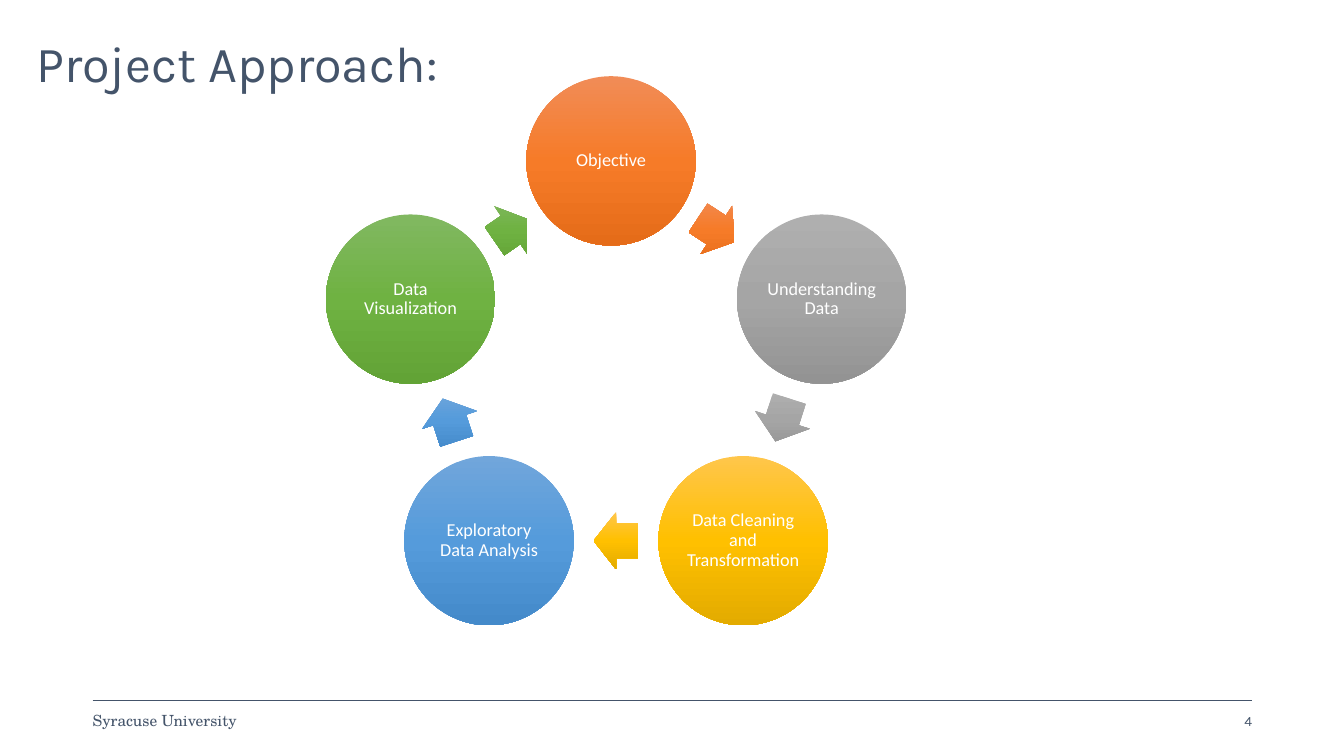
import math
from dataclasses import dataclass

from pptx import Presentation, util as u
from pptx.dml.color import RGBColor
from pptx.enum import shapes, text
from pptx.oxml import parse_xml
from pptx.oxml.ns import nsdecls

WIDE, HIGH = 13.33, 7.5


@dataclass(frozen=True)
class Theme:
    ink: str = "44546A"
    pale: str = "FFFFFF"
    head: str = "Karla"
    body: str = "Calibri"
    foot: str = "TeX Gyre Schola"
    title: int = 36
    label: int = 13
    note: int = 11
    page: int = 10
    orange: tuple = ("F18C57", "F67B28", "E56C19")
    gray: tuple = ("AFAFAF", "A5A5A5", "939393")
    gold: tuple = ("FFC64B", "FFC000", "E3AB00")
    blue: tuple = ("71A6DB", "559BDB", "448ACA")
    green: tuple = ("81B861", "6FB242", "62A336")


T = Theme()
LEFT, RIGHT, BASE = 0.92, 12.42, 6.95   # footer rule
HUB = (6.11, 3.63)                      # centre of the cycle
RADIUS, DISC = 2.144, 1.68
NUDGE = (-0.05, 0.11)                   # first step sits off the ring
STEPS = [
    ("Objective", T.orange),
    ("Understanding Data", T.gray),
    ("Data Cleaning and Transformation", T.gold),
    ("Exploratory Data Analysis", T.blue),
    ("Data Visualization", T.green),
]


def write(shape, words, size, font, color=T.ink, align="LEFT", pad=(0, 0.05), gap=1.0):
    frame = shape.text_frame
    frame.word_wrap = True
    frame.auto_size = text.MSO_AUTO_SIZE.NONE
    frame.vertical_anchor = text.MSO_ANCHOR.MIDDLE
    frame.margin_left = frame.margin_right = u.Inches(pad[0])
    frame.margin_top = frame.margin_bottom = u.Inches(pad[1])
    para = frame.paragraphs[0]
    para.alignment = getattr(text.PP_ALIGN, align)
    para.line_spacing = gap
    run = para.add_run()
    run.text = words
    run.font.size = u.Pt(size)
    run.font.name = font
    run.font.color.rgb = RGBColor.from_string(color)


def shade(shape, colors):
    """Fill from top to bottom, whatever the shape's rotation."""
    stops = "".join(
        f'<a:gs pos="{i * 50000}"><a:srgbClr val="{c}"/></a:gs>'
        for i, c in enumerate(colors))
    fill = parse_xml(
        f'<a:gradFill {nsdecls("a")} rotWithShape="0"><a:gsLst>{stops}</a:gsLst>'
        '<a:lin ang="5400000" scaled="0"/></a:gradFill>')
    shape.line.fill.background()
    shape.shadow.inherit = False
    shape._element.spPr.prstGeom.addnext(fill)


def place(slide, kind, mid, wide, high, colors):
    """Add a shaded shape by its centre."""
    shape = slide.shapes.add_shape(
        kind, u.Inches(mid[0] - wide / 2), u.Inches(mid[1] - high / 2),
        u.Inches(wide), u.Inches(high))
    shade(shape, colors)
    return shape


def arrow(slide, start, end, colors):
    run, drop = end[0] - start[0], end[1] - start[1]
    mid = ((start[0] + end[0]) / 2, (start[1] + end[1]) / 2)
    size = 0.53 * (math.hypot(run, drop) - DISC)
    shape = place(slide, shapes.MSO_SHAPE.RIGHT_ARROW, mid, size, 0.57, colors)
    shape.adjustments[0], shape.adjustments[1] = 0.6, 0.5
    shape.rotation = math.degrees(math.atan2(drop, run)) % 360


def cycle(slide):
    turn = 2 * math.pi / len(STEPS)
    spots = [(HUB[0] + RADIUS * math.sin(i * turn),
              HUB[1] - RADIUS * math.cos(i * turn)) for i in range(len(STEPS))]
    spots[0] = (spots[0][0] + NUDGE[0], spots[0][1] + NUDGE[1])
    for i, (words, colors) in enumerate(STEPS):
        disc = place(slide, shapes.MSO_SHAPE.OVAL, spots[i], DISC, DISC, colors)
        write(disc, words, T.label, T.body, T.pale, "CENTER", (0.02, 0.02), 0.9)
        arrow(slide, spots[i], spots[(i + 1) % len(spots)], colors)


def footer(slide):
    rule = slide.shapes.add_connector(
        shapes.MSO_CONNECTOR.STRAIGHT, u.Inches(LEFT), u.Inches(BASE),
        u.Inches(RIGHT), u.Inches(BASE))
    rule.line.color.rgb = RGBColor.from_string(T.ink)
    rule.line.width = u.Pt(0.5)
    rule._element.spPr.append(parse_xml(f'<a:effectLst {nsdecls("a")}/>'))
    wide = 2.1
    for left, words, size, font, align in [
            (LEFT, "Syracuse University", T.note, T.foot, "LEFT"),
            (RIGHT - wide, "4", T.page, T.head, "RIGHT")]:
        box = slide.shapes.add_textbox(
            u.Inches(left), u.Inches(BASE), u.Inches(wide), u.Inches(0.4))
        write(box, words, size, font, align=align)


def heading(slide, words):
    title = slide.shapes.title
    title.left, title.top = u.Inches(0.36), u.Inches(-0.07)
    title.width, title.height = u.Inches(11.5), u.Inches(1.45)
    write(title, words, T.title, T.head, gap=0.9)


def main():
    deck = Presentation()
    deck.slide_width, deck.slide_height = u.Inches(WIDE), u.Inches(HIGH)
    slide = deck.slides.add_slide(deck.slide_layouts[5])
    footer(slide)
    heading(slide, "Project Approach:")
    cycle(slide)
    deck.save("out.pptx")


if __name__ == "__main__":
    main()
